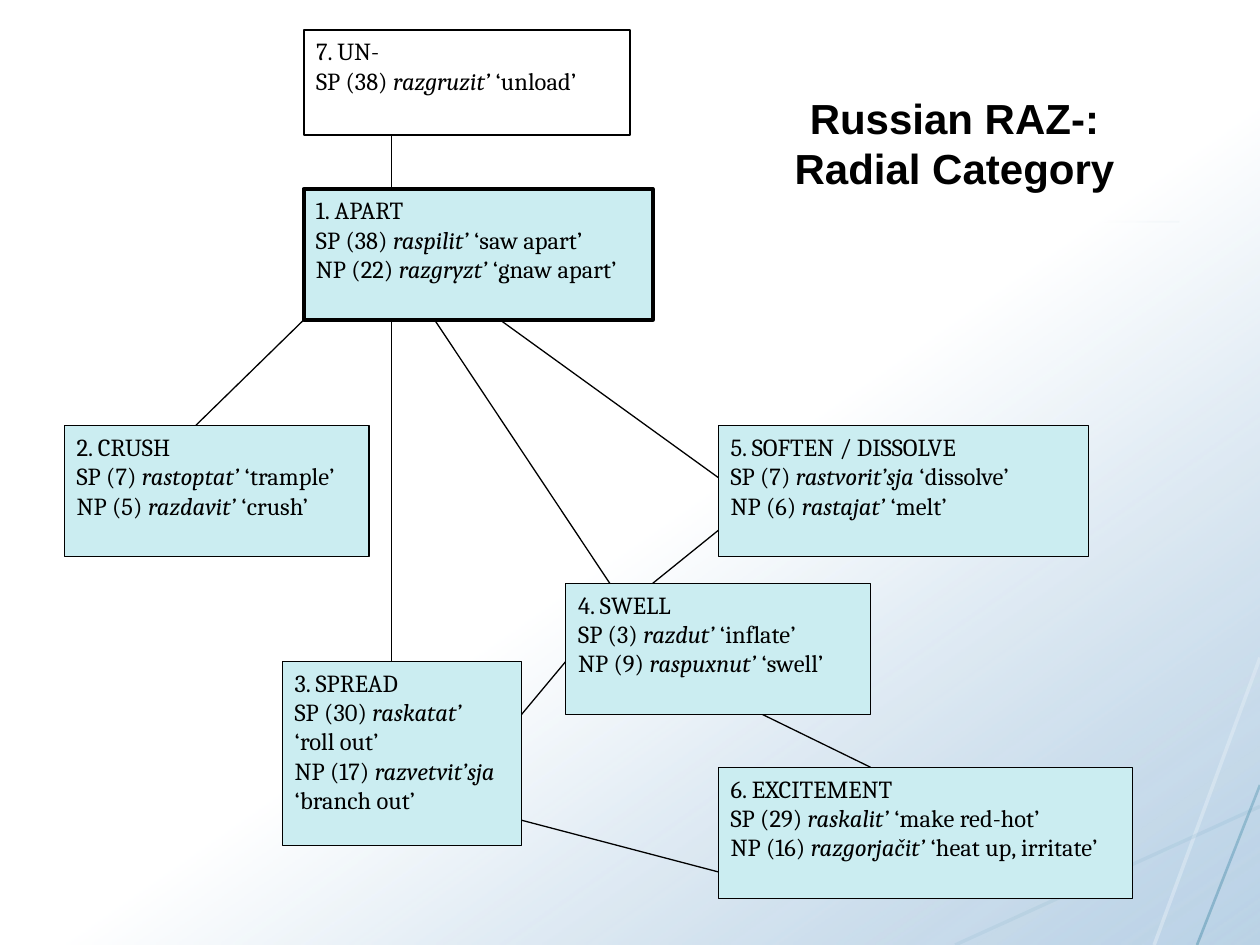
from lxml import etree
from pptx import Presentation
from pptx.dml.color import RGBColor
from pptx.enum.shapes import MSO_CONNECTOR as Connector, MSO_SHAPE as Shape
from pptx.enum.text import MSO_ANCHOR as Anchor, PP_ALIGN as Align
from pptx.oxml import parse_xml
from pptx.oxml.ns import nsdecls, qn
from pptx.util import Inches, Pt

BLACK = "000000"
WHITE = "FFFFFF"
PALE_TEAL = "CBEDF1"

SENSES = [
    ((2.41, 1.5, 2.77, 1.04), PALE_TEAL, 2.25, [
        ("1. APART",),
        ("SP (38) ", "raspilit’ ", "‘saw apart’"),
        ("NP (22) ", "razgryzt’ ", "‘gnaw apart’")]),
    ((5.7, 6.09, 3.29, 1.04), PALE_TEAL, 0.75, [
        ("6. EXCITEMENT",),
        ("SP (29) ", "raskalit’ ", "‘make red-hot’"),
        ("NP (16) ", "razgorjačit’ ", "‘heat up, irritate’")]),
    ((4.49, 4.63, 2.42, 1.04), PALE_TEAL, 0.75, [
        ("4. SWELL",),
        ("SP (3) ", "razdut’ ", "‘inflate’"),
        ("NP (9) ", "raspuxnut’ ", "‘swell’")]),
    ((2.24, 5.25, 1.9, 1.46), PALE_TEAL, 0.75, [
        ("3. SPREAD",),
        ("SP (30) ", "raskatat’"),
        ("‘roll out’",),
        ("NP (17) ", "razvetvit’sja", " ‘branch out’")]),
    ((0.51, 3.38, 2.42, 1.04), PALE_TEAL, 0.75, [
        ("2. CRUSH",),
        ("SP (7) ", "rastoptat’ ", "‘trample’"),
        ("NP (5) ", "razdavit’ ", "‘crush’")]),
    ((2.41, 0.24, 2.59, 0.83), WHITE, 1, [
        ("7. UN-",),
        ("SP (38) ", "razgruzit’ ", "‘unload’")]),
    ((5.7, 3.38, 2.94, 1.04), PALE_TEAL, 0.75, [
        ("5. SOFTEN / DISSOLVE",),
        ("SP (7) ", "rastvorit’sja", " ‘dissolve’"),
        ("NP (6) ", "rastajat’ ", "‘melt’")]),
]

LINKS = [
    (3.45, 2.54, 4.84, 4.63),
    (2.41, 2.54, 1.55, 3.38),
    (3.11, 5.25, 3.11, 2.54),
    (3.11, 1.5, 3.11, 1.08),
    (3.97, 2.54, 5.7, 3.79),
    (4.14, 5.67, 4.49, 5.25),
    (5.18, 4.63, 5.7, 4.21),
    (6.91, 6.09, 6.05, 5.67),
    (4.14, 6.51, 5.7, 6.92),
]

RAYS = [
    ((10, 5.22, 9.16, 7.5), WHITE, 2, 100),
    ((10, 6.4, 7.58, 7.5), "15718F", 2, 16),
    ((10, 6.23, 9.5, 7.5), "00617F", 1.5, 60),
    ((0.84, 1.75, 9.36, 1.76), "00617F", 1, 100),
]


def color(value):
    return RGBColor.from_string(value)


def add_rectangle(page, bounds):
    box = page.shapes.add_shape(Shape.RECTANGLE, *map(Inches, bounds))
    box.shadow.inherit = False
    return box


def add_wash(page):
    wash = add_rectangle(page, (0, 0, 10, 7.5))
    wash.line.fill.background()
    gradient = parse_xml(
        f'<a:gradFill {nsdecls("a")} rotWithShape="1"><a:gsLst>'
        '<a:gs pos="54000"><a:srgbClr val="FFFFFF"/></a:gs>'
        '<a:gs pos="100000"><a:srgbClr val="A9C7E0">'
        '<a:alpha val="54000"/></a:srgbClr></a:gs>'
        '</a:gsLst><a:lin ang="3300000" scaled="0"/></a:gradFill>')
    wash._element.spPr.find(qn("a:prstGeom")).addnext(gradient)


def add_line(page, ends, line_color=BLACK, width=0.75, opacity=100):
    line = page.shapes.add_connector(Connector.STRAIGHT, *map(Inches, ends))
    line.line.color.rgb = color(line_color)
    line.line.width = Pt(width)
    properties = line._element.spPr
    etree.SubElement(properties, qn("a:effectLst"))
    if opacity < 100:
        tint = properties.find(".//" + qn("a:srgbClr"))
        etree.SubElement(tint, qn("a:alpha")).set("val", str(opacity * 1000))


def add_sense(page, bounds, fill, border, lines):
    box = add_rectangle(page, bounds)
    box.fill.solid()
    box.fill.fore_color.rgb = color(fill)
    box.line.color.rgb = color(BLACK)
    box.line.width = Pt(border)
    frame = box.text_frame
    frame.word_wrap = True
    frame.vertical_anchor = Anchor.TOP
    for number, parts in enumerate(lines):
        para = frame.add_paragraph() if number else frame.paragraphs[0]
        para.alignment = Align.LEFT
        for position, part in enumerate(parts):
            span = para.add_run()
            span.text = part
            span.font.name = "Cambria"
            span.font.size = Pt(14)
            span.font.color.rgb = color(BLACK)
            span.font.italic = position == 1


def add_title(page):
    title = page.shapes.title
    title.left, title.top = Inches(6.19), Inches(0.68)
    title.width, title.height = Inches(2.77), Inches(0.91)
    frame = title.text_frame
    frame.text = "Russian RAZ-:\nRadial Category"
    frame.word_wrap = False
    frame.vertical_anchor = Anchor.MIDDLE
    for para in frame.paragraphs:
        para.alignment = Align.CENTER
        for span in para.runs:
            span.font.name = "Arial"
            span.font.size = Pt(24)
            span.font.bold = True
            span.font.color.rgb = color(BLACK)
    page.shapes._spTree.append(title._element)


def main():
    deck = Presentation()
    deck.slide_width, deck.slide_height = Inches(10), Inches(7.5)
    page = deck.slides.add_slide(deck.slide_layouts[5])
    add_wash(page)
    for ray in RAYS:
        add_line(page, *ray)
    add_wash(page)
    for ends in LINKS:
        add_line(page, ends)
    for sense in SENSES:
        add_sense(page, *sense)
    add_title(page)
    deck.save("out.pptx")


if __name__ == "__main__":
    main()
